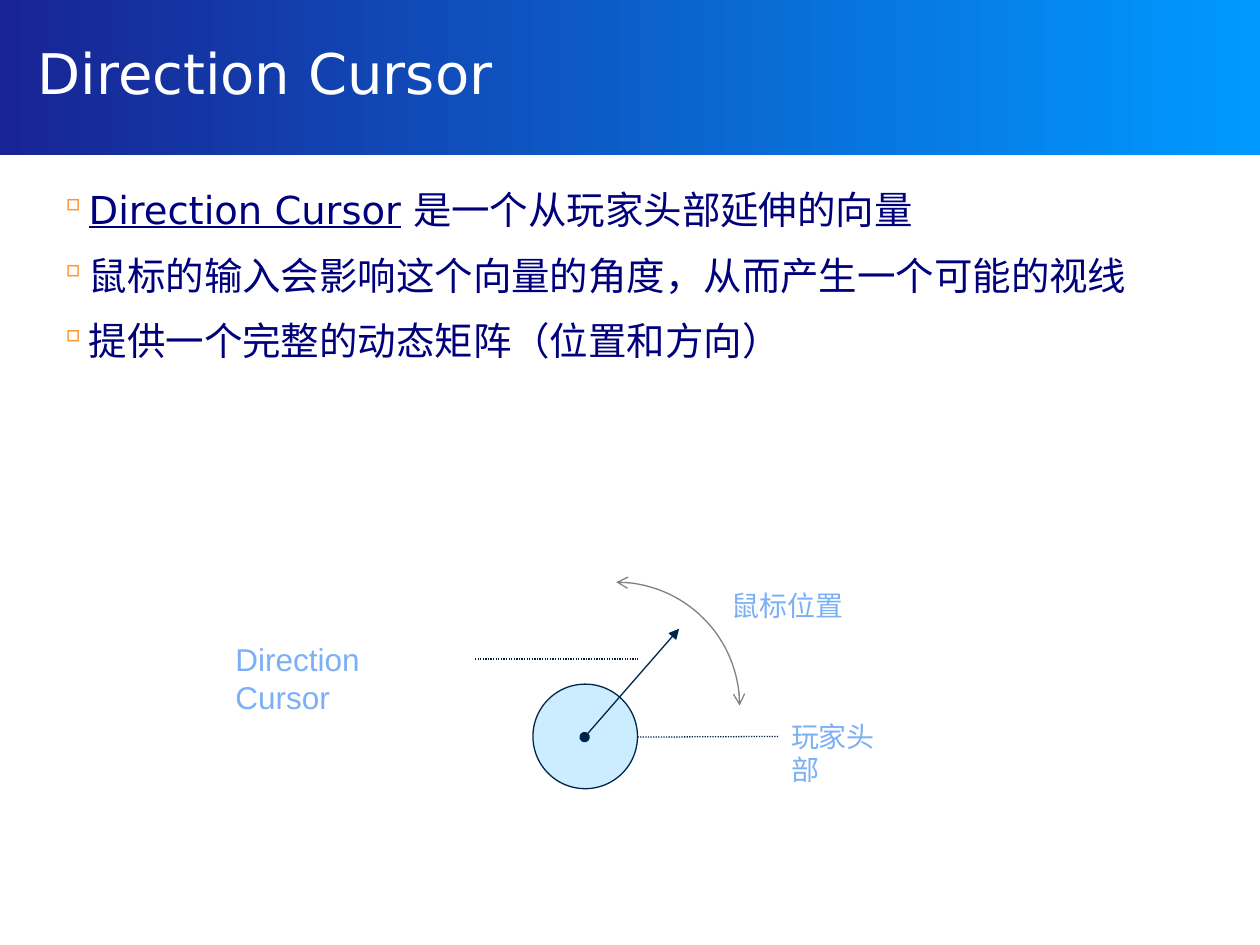
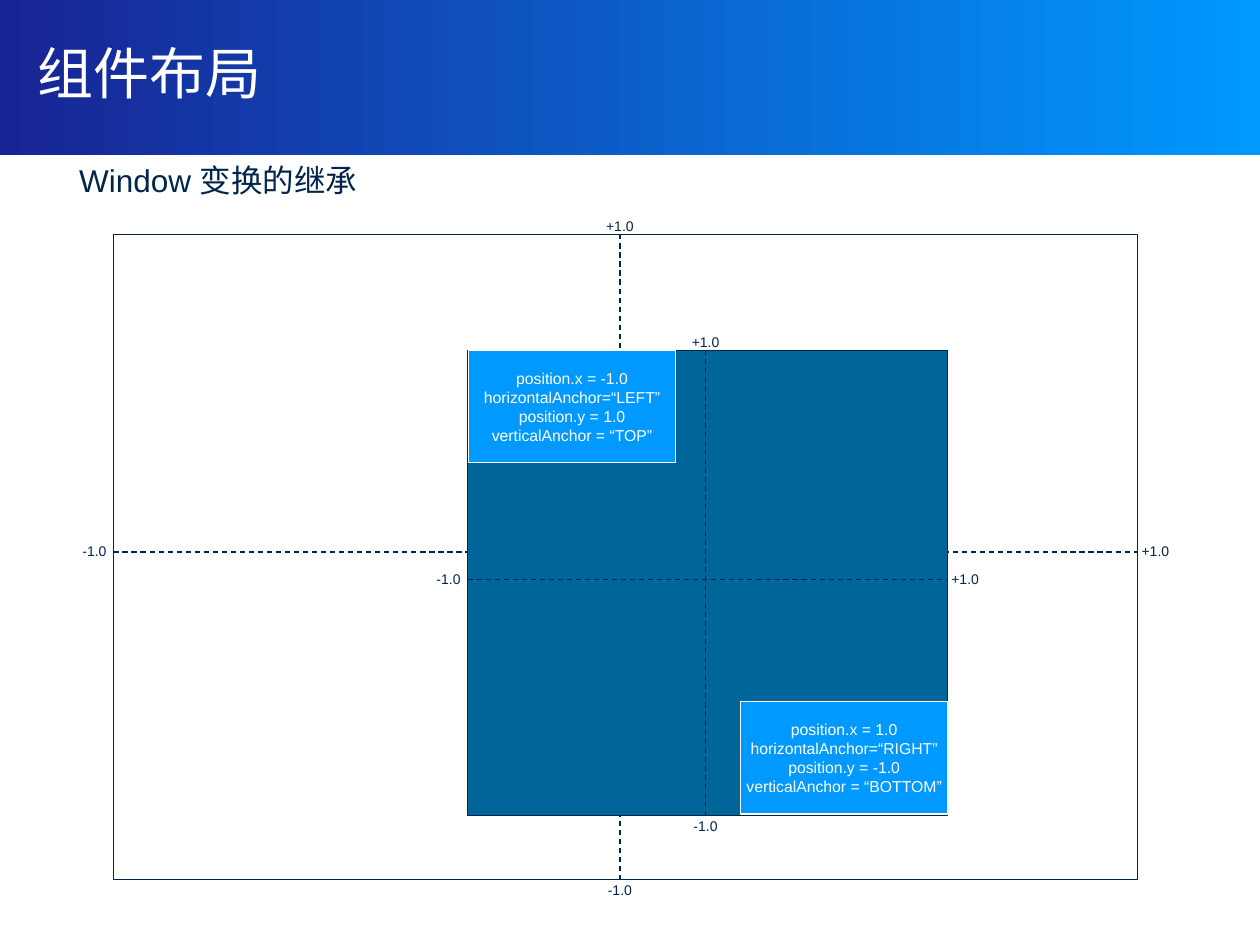
from math import cos, pi, sin

from lxml import etree
from pptx import Presentation
from pptx.dml.color import RGBColor
from pptx.enum.dml import MSO_LINE
from pptx.enum.shapes import MSO_CONNECTOR, MSO_SHAPE
from pptx.enum.text import MSO_ANCHOR, MSO_AUTO_SIZE, PP_ALIGN
from pptx.oxml.ns import qn
from pptx.util import Inches, Pt

RECT, OVAL = MSO_SHAPE.RECTANGLE, MSO_SHAPE.OVAL
STRAIGHT = MSO_CONNECTOR.STRAIGHT
DASH, DOT = MSO_LINE.DASH, MSO_LINE.ROUND_DOT
MIDDLE, CENTER = MSO_ANCHOR.MIDDLE, PP_ALIGN.CENTER
GROW = MSO_AUTO_SIZE.SHAPE_TO_FIT_TEXT
LEFT, RIGHT = 1, 3

INK, SKY, WHITE, NAVY = "00254A", "7CB0F6", "FFFFFF", "00007D"
AZURE, INDIGO, TEAL, PALE = "0099FF", "182494", "006699", "CCECFF"
GRAY, ORANGE = "808080", "FF9933"


def rgb(code):
    return RGBColor.from_string(code)


def put(item, **values):
    for name, value in values.items():
        setattr(item, name, value)


def inch(*sizes):
    return [Inches(size) for size in sizes]


class Deck:
    """Holds the shared style and the slide being drawn."""

    head = dict(name="DejaVu Sans", size=Pt(32))
    body = dict(name="DejaVu Sans", size=Pt(22))
    plain = "Arial"

    def __init__(self):
        self.file = Presentation()
        put(self.file, slide_width=Inches(10), slide_height=Inches(7.5))

    def page(self, title):
        self.shapes = self.file.slides.add_slide(self.file.slide_layouts[6]).shapes
        band = self.shape(RECT, 0, 0, 10, 1.23, line=None)
        band.fill.gradient()
        band.fill.gradient_angle = 0
        for stop, code in zip(band.fill.gradient_stops, (INDIGO, AZURE)):
            stop.color.rgb = rgb(code)
        frame = self.frame(0.2, 0, 9.57, 1.15)
        put(frame, vertical_anchor=MIDDLE, margin_top=Inches(0.04))
        self.letter(frame.paragraphs[0], title, WHITE, **self.head)

    def frame(self, *box):
        frame = self.shapes.add_textbox(*inch(*box)).text_frame
        frame.word_wrap = True
        return frame

    def letter(self, para, text, color, **font):
        """Fill a paragraph; a vertical tab in the text is a line break."""
        para.text = text
        for run in para.runs:
            put(run.font, **font)
            run.font.color.rgb = rgb(color)
        for gap in para._p.findall(qn("a:br")):
            etree.SubElement(gap, qn("a:rPr"), sz=str(int(font["size"].pt * 100)))

    def label(self, text, box, size, color=INK, align=None, wrap=False):
        shape = self.shapes.add_textbox(*inch(*box))
        put(shape.text_frame, word_wrap=wrap, auto_size=GROW)
        para = shape.text_frame.paragraphs[0]
        para.alignment = align
        self.letter(para, text, color, name=self.plain, size=Pt(size))
        return shape

    def bullets(self, rows):
        """Each row is a pair: underlined lead and the rest."""
        frame = self.frame(0.2, 1.47, 9.57, 5.51)
        put(frame, margin_left=Inches(0.06), margin_top=Inches(0.01),
            margin_right=Inches(0.04))
        for num, row in enumerate(rows):
            para = frame.add_paragraph() if num else frame.paragraphs[0]
            put(para, space_before=Pt(5.5 if num else 0), space_after=Pt(5.5))
            props = para._p.get_or_add_pPr()
            props.set("marL", str(Inches(0.36)))
            props.set("indent", str(Inches(-0.16)))
            tint = etree.SubElement(props, qn("a:buClr"))
            etree.SubElement(tint, qn("a:srgbClr"), val=ORANGE)
            etree.SubElement(props, qn("a:buSzPct"), val="90000")
            etree.SubElement(props, qn("a:buChar"), char="▫")
            for text, under in zip(row, (True, False)):
                if text:
                    run = para.add_run()
                    run.text = text
                    put(run.font, underline=under, **self.body)
                    run.font.color.rgb = rgb(NAVY)

    def stroke(self, item, color, dash=None, ends=None):
        """Style an outline; ends are the head and tail arrow types."""
        item.line.color.rgb = rgb(color)
        put(item.line, width=Pt(0.75), dash_style=dash)
        for tag, kind in zip(("a:headEnd", "a:tailEnd"), ends or ()):
            etree.SubElement(item.line._get_or_add_ln(), qn(tag), type=kind)

    def paint(self, shape, fill, line):
        shape.shadow.inherit = False
        if fill:
            shape.fill.solid()
            shape.fill.fore_color.rgb = rgb(fill)
        else:
            shape.fill.background()
        if not line:
            shape.line.fill.background()

    def shape(self, kind, *box, fill=None, line=INK):
        shape = self.shapes.add_shape(kind, *inch(*box))
        self.paint(shape, fill, line)
        if line:
            self.stroke(shape, line)
        return shape

    def line(self, start, end, dash=None, ends=None):
        line = self.shapes.add_connector(STRAIGHT, *inch(*start, *end))
        self.stroke(line, INK, dash, ends)
        etree.SubElement(line._element.spPr, qn("a:effectLst"))
        return line

    def arc(self, x, y, radius, steps=32):
        """Quarter circle from the top to the right of the centre x, y."""
        turns = [pi / 2 * step / steps for step in range(steps + 1)]
        dots = [inch(x + radius * sin(turn), y - radius * cos(turn)) for turn in turns]
        trace = self.shapes.build_freeform(*dots[0])
        trace.add_line_segments(dots[1:], close=False)
        curve = trace.convert_to_shape()
        self.paint(curve, None, GRAY)
        self.stroke(curve, GRAY, ends=("arrow", "arrow"))

    def window(self, x, y, wide, high, mid, fill=None):
        """Frame with dashed axes crossing at mid and a mark at each end."""
        self.shape(RECT, x, y, wide, high, fill=fill)
        far, low = x + wide, y + high
        across, down = mid
        self.line((across, y), (across, low), DASH)
        self.line((x, down), (far, down), DASH)
        marks = (("-1.0", x - 0.15, down), ("+1.0", far + 0.14, down),
                 ("+1.0", across, y - 0.06), ("-1.0", across, low + 0.09))
        for text, left, top in marks:
            self.label(text, (left - 0.21, top - 0.12, 0.42, 0.24), 8, align=CENTER)

    def card(self, x, y, rows):
        card = self.shape(RECT, x, y, 1.64, 0.89, fill=AZURE, line=WHITE)
        put(card.text_frame, vertical_anchor=MIDDLE, word_wrap=False)
        para = card.text_frame.paragraphs[0]
        para.alignment = CENTER
        self.letter(para, "\v".join(rows), WHITE, name=self.plain, size=Pt(9))


def cursor(deck):
    deck.page("Direction Cursor")
    deck.bullets([
        ("Direction Cursor", " 是一个从玩家头部延伸的向量"),
        ("", "鼠标的输入会影响这个向量的角度，从而产生一个可能的视线"),
        ("", "提供一个完整的动态矩阵（位置和方向）"),
    ])
    deck.label("鼠标位置", (5.71, 4.62, 2.05, 0.37), 16, SKY, wrap=True)
    deck.shape(OVAL, 4.23, 5.43, 0.83, 0.83, fill=PALE)
    deck.line((4.64, 5.85), (5.39, 4.99), ends=("oval", "triangle"))
    player = deck.label("玩家头部", (6.18, 5.66, 1.08, 0.37), 16, SKY)
    deck.line((5.06, 5.85), (6.18, 5.85), DOT).end_connect(player, LEFT)
    deck.arc(4.89, 5.6, 0.98)
    vector = deck.label("Direction Cursor", (1.77, 5.03, 2, 0.4), 18, SKY)
    deck.line((3.77, 5.23), (5.06, 5.23), DOT).begin_connect(vector, RIGHT)


def layout(deck):
    deck.page("组件布局")
    deck.label("Window 变换的继承", (0.53, 1.23, 2.47, 0.4), 18)
    deck.window(0.9, 1.86, 8.13, 5.12, (4.92, 4.38))
    deck.window(3.71, 2.78, 3.81, 3.69, (5.6, 4.6), TEAL)
    deck.card(3.72, 2.78, ("position.x = -1.0", "horizontalAnchor=“LEFT”",
                           "position.y = 1.0", "verticalAnchor = “TOP”"))
    deck.card(5.88, 5.57, ("position.x = 1.0", "horizontalAnchor=“RIGHT”",
                           "position.y = -1.0", "verticalAnchor = “BOTTOM”"))


def main():
    deck = Deck()
    cursor(deck)
    layout(deck)
    deck.file.save("out.pptx")


if __name__ == "__main__":
    main()
